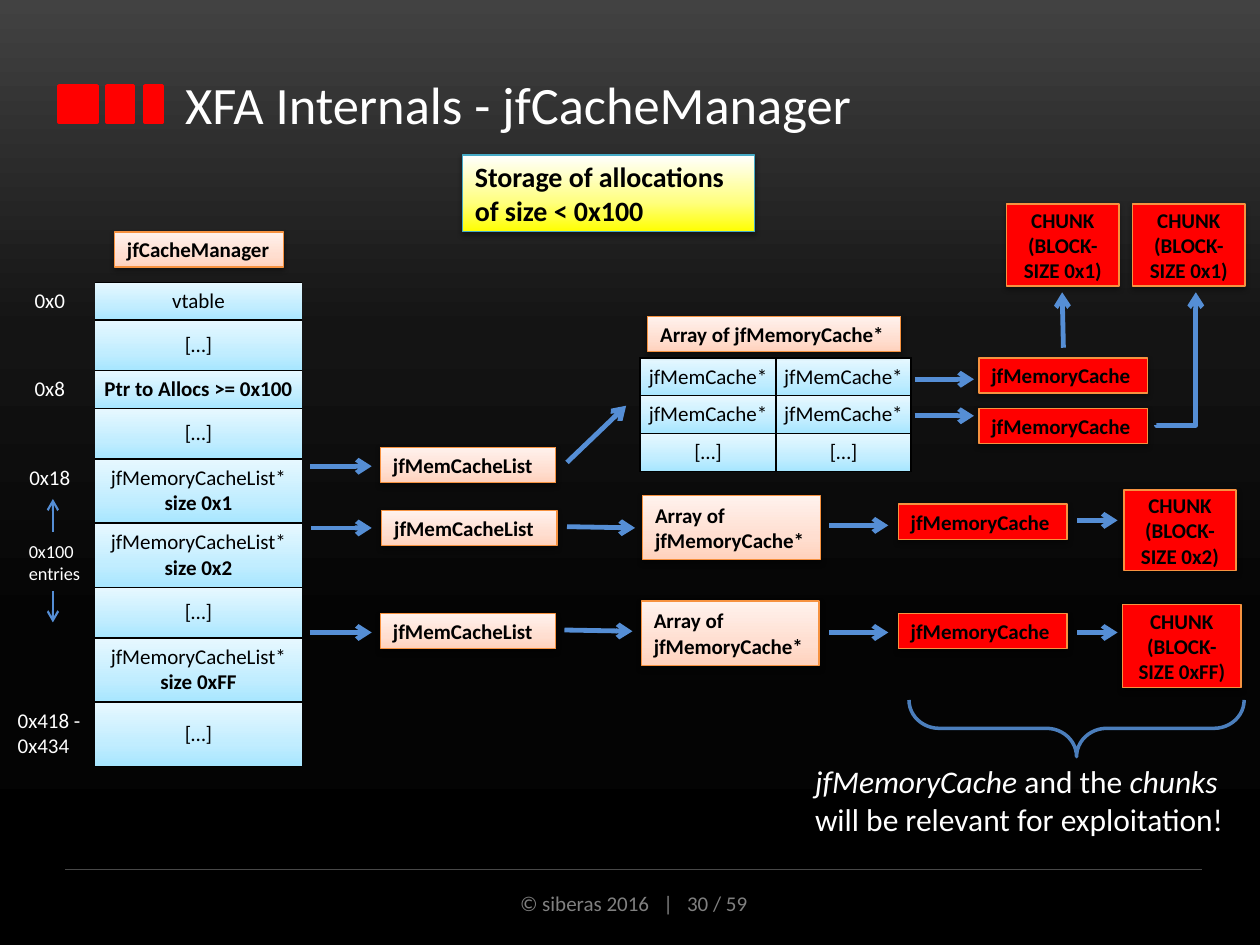
from lxml import etree
from pptx import Presentation
from pptx import util as u
from pptx.dml.color import RGBColor
from pptx.enum import shapes, text
from pptx.oxml.ns import qn

PX = 9144
FONT = "Calibri"
BLACK = RGBColor(0, 0, 0)
WHITE = RGBColor(255, 255, 255)
RED = RGBColor(255, 0, 0)
GRAY = RGBColor(0x80, 0x80, 0x80)
RULE = RGBColor(0x48, 0x48, 0x48)
ORANGE = RGBColor(0xF6, 0x92, 0x40)
TEAL = RGBColor(0x46, 0xAA, 0xC5)
BLUE = RGBColor(0x55, 0x8E, 0xD5)
BRACE_BLUE = RGBColor(0x4B, 0x7E, 0xBC)


def stops(*pairs):
    return [(pos, RGBColor.from_string(color)) for pos, color in pairs]


NIGHT = stops((0, "424242"), (35, "141414"), (67, "040404"), (100, "000000"))
YELLOW = stops((0, "FFFF00"), (39, "FFFF80"), (100, "FFFFFF"))
PEACH = stops((0, "FFD2BD"), (35, "FFDED0"), (100, "FFF2ED"))
SKY = stops((0, "A7E6FF"), (35, "C1EDFF"), (100, "E7F8FF"))
LEFT, CENTER = text.PP_ALIGN.LEFT, text.PP_ALIGN.CENTER


def px(*values):
    return [u.Emu(v * PX) for v in values]


def sub(parent, tag, **attrs):
    return etree.SubElement(parent, qn(tag), {k: str(v) for k, v in attrs.items()})


def paint(fill, element, color):
    if isinstance(color, RGBColor):
        fill.solid()
        fill.fore_color.rgb = color
        return
    fill.gradient()
    fill.gradient_angle = 270 if color is NIGHT else 90
    gs_list = element.find(".//" + qn("a:gsLst"))
    for gs in list(gs_list):
        gs_list.remove(gs)
    for pos, rgb in color:
        sub(sub(gs_list, "a:gs", pos=pos * 1000), "a:srgbClr", val=rgb)


def write(tf, paragraphs, size, color, align=LEFT):
    for i, runs in enumerate(paragraphs):
        p = tf.paragraphs[0] if i == 0 else tf.add_paragraph()
        p.alignment = align
        for words, style in runs:
            r = p.add_run()
            r.text = words
            r.font.name, r.font.size = FONT, u.Pt(size)
            r.font.color.rgb = color
            r.font.bold, r.font.italic = style == "b", style == "i"


def plain(*lines):
    return [[(line, "")] for line in lines]


def bold(*lines):
    return [[(line, "b")] for line in lines]


def add_text(s, box, paragraphs, size, color=WHITE, align=LEFT, wrap=True):
    tf = s.shapes.add_textbox(*px(*box)).text_frame
    tf.word_wrap = wrap
    write(tf, paragraphs, size, color, align)
    return tf


def add_box(s, box, fill, line, lines=(), size=12, align=LEFT, width=0.75):
    sp = s.shapes.add_shape(shapes.MSO_SHAPE.RECTANGLE, *px(*box))
    sp.shadow.inherit = False
    paint(sp.fill, sp._element, fill)
    sp.line.color.rgb, sp.line.width = line, u.Pt(width)
    if lines:
        effects = sp._element.spPr.find(qn("a:effectLst"))
        shadow = sub(effects, "a:outerShdw", blurRad=u.Pt(3.1), dist=u.Pt(1.6),
                     dir=5400000, rotWithShape=0)
        sub(sub(shadow, "a:srgbClr", val=BLACK), "a:alpha", val=38000)
        sp.text_frame.vertical_anchor = text.MSO_ANCHOR.MIDDLE
        write(sp.text_frame, bold(*lines), size, BLACK, align)


def add_line(s, ends, color=BLUE, width=2.75, arrow=True,
             kind=shapes.MSO_CONNECTOR.STRAIGHT):
    c = s.shapes.add_connector(kind, *px(*ends))
    c.line.color.rgb, c.line.width = color, u.Pt(width)
    if arrow:
        sub(c.line._get_or_add_ln(), "a:tailEnd", type="arrow")
    sub(c._element.spPr, "a:effectLst")
    return c


def add_elbow(s):
    c = add_line(s, (986, 300, 881, 269), kind=shapes.MSO_CONNECTOR.ELBOW)
    c._element.spPr.find(qn("a:xfrm")).set("rot", "5400000")
    geom = c._element.spPr.find(qn("a:prstGeom"))
    guides = geom.find(qn("a:avLst"))
    if guides is None:
        guides = sub(geom, "a:avLst")
    sub(guides, "a:gd", name="adj1", fmla="val -600")


def add_brace(s):
    sp = s.shapes.add_shape(shapes.MSO_SHAPE.LEFT_BRACE, *px(832, 445, 45, 266))
    sp.rotation = 270
    sp.adjustments[0], sp.adjustments[1] = 0.531, 0.5
    sp.shadow.inherit = False
    sp.fill.background()
    sp.line.color.rgb, sp.line.width = BRACE_BLUE, u.Pt(2)


def add_grid(s, left, top, widths, heights):
    frame = s.shapes.add_table(len(heights), len(widths),
                               *px(left, top, sum(widths), sum(heights)))
    table = frame.table
    table.first_row = table.horz_banding = False
    style = table._tbl.tblPr.find(qn("a:tableStyleId"))
    style.text = "{2D5ABB26-0587-4C30-8999-92F81FD0307C}"
    for col, width in zip(table.columns, px(*widths)):
        col.width = width
    for row, height in zip(table.rows, px(*heights)):
        row.height = height
    for cell in table.iter_cells():
        cell.margin_left = cell.margin_right = u.Emu(5 * PX)
        cell.margin_top = cell.margin_bottom = u.Emu(5 * PX)
    return table


def fill_cell(cell, paragraphs, sides):
    tcPr = cell._tc.get_or_add_tcPr()
    for side in sides:
        ln = sub(tcPr, "a:ln" + side, w=u.Pt(1))
        sub(sub(ln, "a:solidFill"), "a:srgbClr", val=BLACK)
    paint(cell.fill, cell._tc, SKY)
    cell.vertical_anchor = text.MSO_ANCHOR.MIDDLE
    write(cell.text_frame, paragraphs, 12, BLACK, CENTER)


def add_manager_table(s):
    def sized(size):
        return plain("jfMemoryCacheList*") + bold("size " + size)

    gap = plain("[…]")
    rows = [("0x0", plain("vtable"), 30), ("", gap, 30),
            ("0x8", bold("Ptr to Allocs >= 0x100"), 30), ("", gap, 30),
            ("0x18", sized("0x1"), 51), ("", sized("0x2"), 51), ("", gap, 30),
            ("", sized("0xFF"), 51), ("0x418 - 0x434", gap, 51)]
    table = add_grid(s, 4, 224, (71, 165), [height for _, _, height in rows])
    for i, (offset, content, _) in enumerate(rows):
        label = table.cell(i, 0)
        if offset:
            write(label.text_frame, plain(offset), 12, WHITE, CENTER)
        fill_cell(table.cell(i, 1), content, "TB")
    label.margin_left = u.Emu(10 * PX)
    label.text_frame.paragraphs[0].alignment = LEFT


def add_array_table(s):
    table = add_grid(s, 508, 284, (108, 107), (30, 30, 30))
    for i, words in enumerate(("jfMemCache*", "jfMemCache*", "[…]")):
        for j in range(2):
            fill_cell(table.cell(i, j), plain(words), "LRTB")


def add_master(s):
    paint(s.background.fill, s._element, NIGHT)
    for left, width in ((47, 30), (85, 21), (115, 14)):
        add_box(s, (left, 68, width, 29), RED, RED, width=2)
    add_line(s, (52, 690, 954, 690), RULE, 0.75, arrow=False)
    add_text(s, (337, 702, 332, 30), plain("© siberas 2016   |   30 / 59"),
             12, GRAY, CENTER)
    tf = add_text(s, (137, 39, 828, 87), plain("XFA Internals - jfCacheManager"), 30)
    tf.vertical_anchor = text.MSO_ANCHOR.MIDDLE


def main():
    prs = Presentation()
    prs.slide_width, prs.slide_height = px(1000, 750)
    s = prs.slides.add_slide(prs.slide_layouts[6])
    add_master(s)
    add_box(s, (367, 123, 232, 61), YELLOW, TEAL,
            ["Storage of allocations of size < 0x100"], 16)
    add_manager_table(s)
    add_array_table(s)

    add_box(s, (91, 184, 134, 28), PEACH, ORANGE, ["jfCacheManager"])
    add_box(s, (514, 251, 201, 28), PEACH, ORANGE, ["Array of jfMemoryCache*"])
    for left, top in ((302, 355), (303, 405), (302, 487)):
        add_box(s, (left, top, 139, 28), PEACH, ORANGE, ["jfMemCacheList"])
    for left, top in ((510, 393), (509, 477)):
        add_box(s, (left, top, 141, 51), PEACH, ORANGE, ["Array of", "jfMemoryCache*"])
    for left, top in ((777, 284), (777, 324), (713, 400), (713, 487)):
        add_box(s, (left, top, 134, 28), RED, ORANGE, ["jfMemoryCache"])
    for box, size in (((799, 162, 89, 65), "0x1"), ((899, 162, 89, 65), "0x1"),
                      ((892, 389, 89, 64), "0x2"), ((891, 480, 94, 66), "0xFF")):
        add_box(s, box, RED, ORANGE, ["CHUNK", f"(BLOCK-SIZE {size})"], align=CENTER)

    for ends in ((246, 370, 295, 370), (247, 419, 295, 419), (246, 502, 295, 502),
                 (450, 367, 497, 322), (450, 418, 504, 419), (448, 500, 502, 501),
                 (726, 301, 773, 301), (726, 330, 773, 330), (844, 276, 843, 232),
                 (658, 417, 705, 417), (658, 502, 705, 502),
                 (855, 413, 887, 413), (855, 502, 887, 502)):
        add_line(s, ends)
    add_elbow(s)
    for start, end in ((469, 494), (422, 396)):
        add_line(s, (42, start, 42, end), width=1.25)
    add_text(s, (13, 424, 62, 45), plain("0x100", "entries"), 10.5, wrap=False)

    add_brace(s)
    add_text(s, (637, 600, 359, 71),
             [[("jfMemoryCache ", "i"), ("and the ", ""), ("chunks", "i"),
               (" will be relevant for exploitation!", "")]], 18)
    prs.save("out.pptx")


if __name__ == "__main__":
    main()
